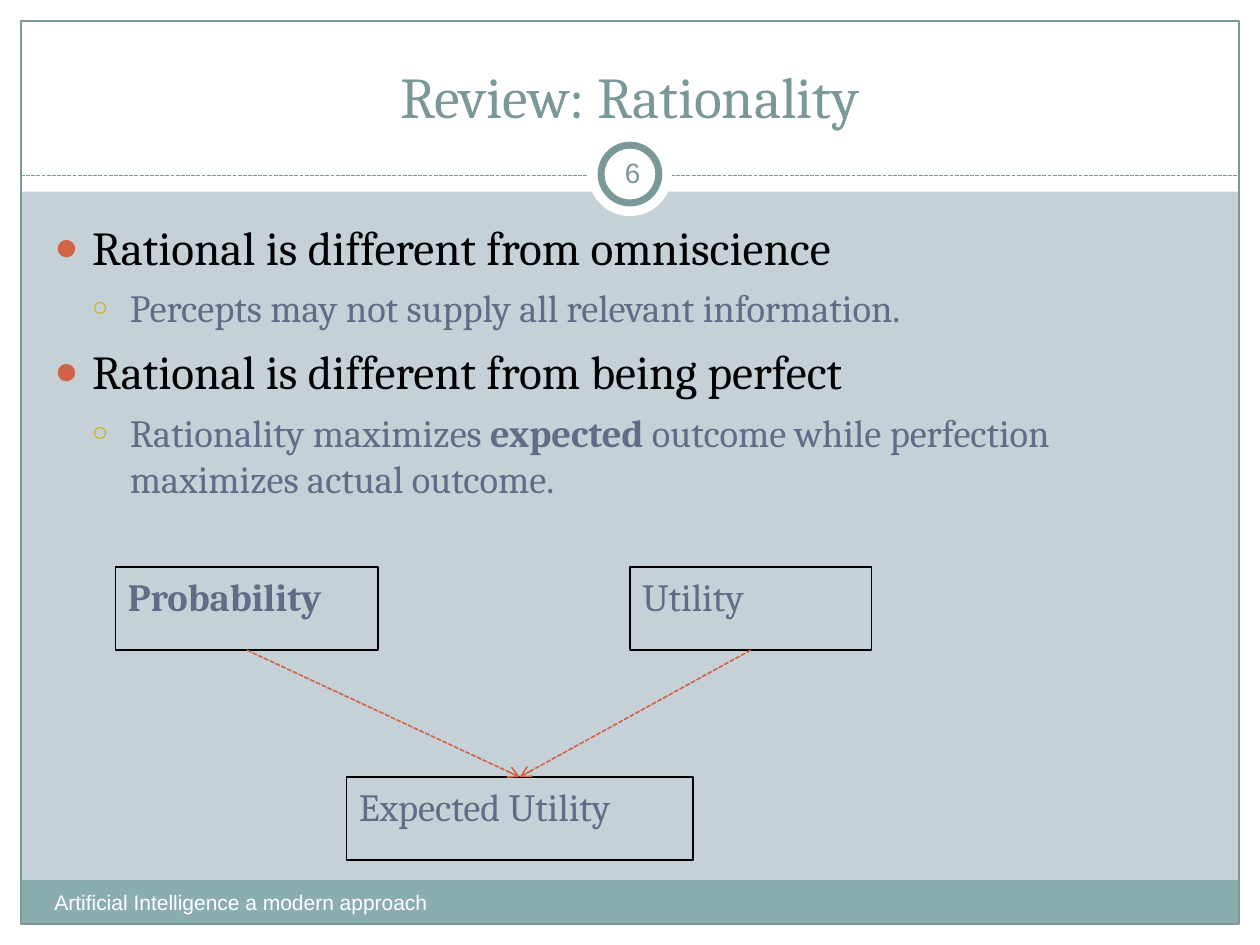
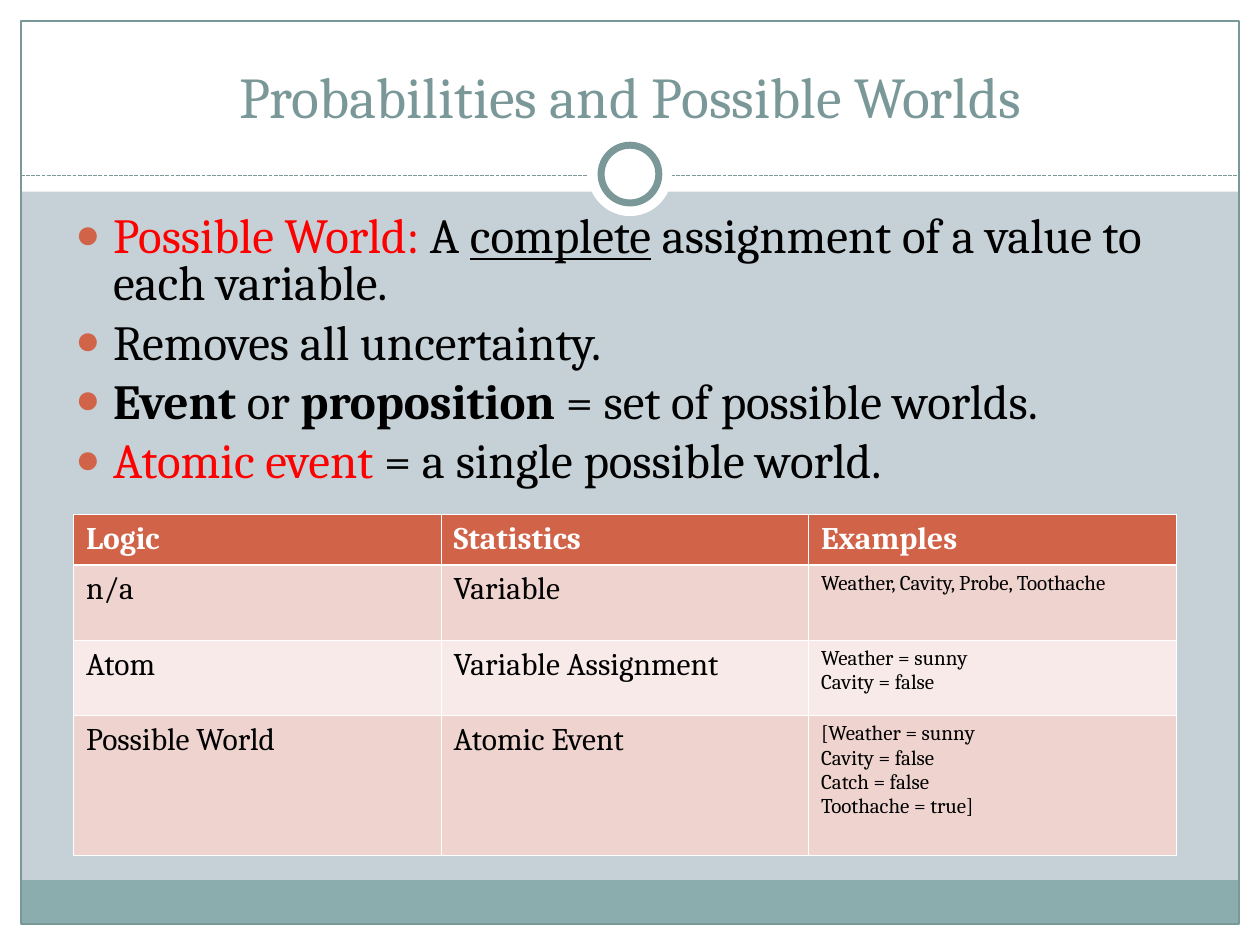
from dataclasses import dataclass

from lxml import etree
from pptx import Presentation
from pptx.dml.color import RGBColor
from pptx.enum.dml import MSO_LINE
from pptx.enum.shapes import MSO_CONNECTOR, MSO_SHAPE
from pptx.enum.text import MSO_ANCHOR, PP_ALIGN
from pptx.oxml.ns import qn
from pptx.util import Pt

RECT, OVAL = MSO_SHAPE.RECTANGLE, MSO_SHAPE.OVAL
STRAIGHT = MSO_CONNECTOR.STRAIGHT
DASH = MSO_LINE.SQUARE_DOT
LEFT, CENTER = PP_ALIGN.LEFT, PP_ALIGN.CENTER
TOP, MIDDLE, BOTTOM = MSO_ANCHOR.TOP, MSO_ANCHOR.MIDDLE, MSO_ANCHOR.BOTTOM
SIDE_TOP, SIDE_BOTTOM = 0, 2
BOLD = {"bold": True}


@dataclass(frozen=True)
class Theme:
    serif: str = "Cambria"
    sans: str = "Arial"
    background: str = "C5D1D7"
    white: str = "FFFFFF"
    black: str = "000000"
    teal: str = "7B9899"
    band: str = "8CADAE"
    orange: str = "D16349"
    gold: str = "CCB400"
    slate: str = "646B86"
    red: str = "FF0000"
    rows: tuple = ("EED3CF", "F7EAE9")
    title: float = 33
    point: float = 27
    large_point: float = 28
    detail: float = 22
    cell: float = 18
    number: float = 16
    small: float = 12


T = Theme()
HIGHLIGHT = {"color": T.red}


def rgb(value):
    return RGBColor.from_string(value)


def write(tf, runs, size=T.detail, color=T.black, font=T.serif, bold=False,
          align=LEFT, before=0, spacing=None, bullet=None):
    first = not tf.paragraphs[0].runs
    p = tf.paragraphs[0] if first else tf.add_paragraph()
    p.alignment = align
    if not first:
        p.space_before = Pt(before)
    if spacing:
        p.line_spacing = spacing
    if bullet:
        add_bullet(p, **bullet)
    for run in [runs] if isinstance(runs, str) else runs:
        text, extra = (run, {}) if isinstance(run, str) else run
        r = p.add_run()
        r.text = text
        r.font.name = font
        r.font.size = Pt(size)
        r.font.bold = extra.get("bold", bold)
        r.font.underline = extra.get("underline", False)
        r.font.color.rgb = rgb(extra.get("color", color))


def add_bullet(p, char, color, percent, level):
    pPr = p._p.get_or_add_pPr()
    p.level = level
    pPr.set("marL", str(Pt(21.6 * (level + 1))))
    pPr.set("indent", str(Pt(-21.6)))
    clr = etree.SubElement(pPr, qn("a:buClr"))
    etree.SubElement(clr, qn("a:srgbClr"), val=color)
    etree.SubElement(pPr, qn("a:buSzPct"), val=str(percent * 1000))
    etree.SubElement(pPr, qn("a:buFont"), typeface=T.sans)
    etree.SubElement(pPr, qn("a:buChar"), char=char)


def add_point(tf, runs, size=T.point, spacing=None):
    dot = {"char": "●", "color": T.orange, "percent": 85, "level": 0}
    write(tf, runs, size=size, before=size / 4, spacing=spacing, bullet=dot)


def add_detail(tf, runs):
    ring = {"char": "○", "color": T.gold, "percent": 70, "level": 1}
    write(tf, runs, color=T.slate, before=T.detail / 4, bullet=ring)


def text_area(s, left, top, width, height, anchor=TOP):
    tf = s.shapes.add_textbox(Pt(left), Pt(top), Pt(width), Pt(height)).text_frame
    tf.word_wrap = True
    tf.vertical_anchor = anchor
    return tf


def add_shape(s, kind, left, top, width, height, fill=None, line=None, weight=0.75):
    sp = s.shapes.add_shape(kind, Pt(left), Pt(top), Pt(width), Pt(height))
    sp.shadow.inherit = False
    if fill:
        sp.fill.solid()
        sp.fill.fore_color.rgb = rgb(fill)
    else:
        sp.fill.background()
    if line:
        sp.line.color.rgb = rgb(line)
        sp.line.width = Pt(weight)
    else:
        sp.line.fill.background()
    return sp


def add_dashed_line(s, x1, y1, x2, y2, color, weight):
    c = s.shapes.add_connector(STRAIGHT, Pt(x1), Pt(y1), Pt(x2), Pt(y2))
    c.line.color.rgb = rgb(color)
    c.line.width = Pt(weight)
    c.line.dash_style = DASH
    etree.SubElement(c.element.spPr, qn("a:effectLst"))
    return c


def add_arrow(s, source, target):
    c = add_dashed_line(s, 0, 0, 0, 0, T.orange, 0.91)
    c.begin_connect(source, SIDE_BOTTOM)
    c.end_connect(target, SIDE_TOP)
    ln = c.element.spPr.find(qn("a:ln"))
    etree.SubElement(ln, qn("a:tailEnd"), type="arrow")


def add_concept(s, text, left, top, width, bold=False):
    sp = add_shape(s, RECT, left, top, width, 47.5, line=T.black)
    tf = sp.text_frame
    tf.word_wrap = True
    tf.vertical_anchor = TOP
    write(tf, text, color=T.slate, bold=bold)
    return sp


def set_borders(cell, **weights):
    tcPr = cell._tc.get_or_add_tcPr()
    for side in "LRTB":
        width = Pt(weights.get(side, 0.45))
        ln = etree.SubElement(tcPr, qn("a:ln" + side), w=str(width))
        fill = etree.SubElement(ln, qn("a:solidFill"))
        etree.SubElement(fill, qn("a:srgbClr"), val=T.white)


def add_grid(s, left, top, column_width, heights, rows):
    columns = len(rows[0])
    table = s.shapes.add_table(len(rows), columns, Pt(left), Pt(top),
                               Pt(column_width * columns), Pt(sum(heights))).table
    for column in table.columns:
        column.width = Pt(column_width)
    for i, (height, row) in enumerate(zip(heights, rows)):
        table.rows[i].height = Pt(height)
        header = i == 0
        rule = {0: {"B": 1.47}, 1: {"T": 1.47}}.get(i, {})
        for j, text in enumerate(row):
            cell = table.cell(i, j)
            set_borders(cell, **rule)
            cell.fill.solid()
            cell.fill.fore_color.rgb = rgb(T.orange if header else T.rows[(i - 1) % 2])
            example = not header and j == columns - 1
            for line in text.split("\n"):
                write(cell.text_frame, line, bold=header,
                      size=T.small if example else T.cell,
                      color=T.white if header else T.black)


def add_framed_slide(prs, title, footer=None, number=None):
    s = prs.slides.add_slide(prs.slide_layouts[6])
    s.background.fill.solid()
    s.background.fill.fore_color.rgb = rgb(T.background)
    for box in ((0, 528, 720, 12), (0, 0, 720, 109.5),
                (0, 0, 12, 540), (708, 0, 12, 540)):
        add_shape(s, RECT, *box, fill=T.white)
    add_shape(s, RECT, 12, 503, 696, 25, fill=T.band)
    add_shape(s, RECT, 12, 12, 696, 516, line=T.teal)
    add_dashed_line(s, 12, 100.5, 708, 100.5, T.teal, 0.75)
    add_shape(s, OVAL, 336, 75.5, 48, 48, fill=T.white)
    add_shape(s, OVAL, 343.5, 83, 33, 33, fill=T.white, line=T.teal, weight=4)
    write(text_area(s, 24, 18, 672, 60, BOTTOM), title,
          size=T.title, color=T.teal, align=CENTER)
    if footer:
        write(text_area(s, 24, 504.5, 282, 29), footer,
              size=T.small, color=T.white, font=T.sans)
    if number:
        write(text_area(s, 343.5, 81, 36, 34.5, MIDDLE), number,
              size=T.number, color=T.teal, font=T.sans, align=CENTER)
    return s


def build_rationality(prs):
    s = add_framed_slide(prs, "Review: Rationality",
                         "Artificial Intelligence a modern approach", "6")
    tf = text_area(s, 24, 121, 670, 180)
    add_point(tf, "Rational is different from omniscience")
    add_detail(tf, "Percepts may not supply all relevant information.")
    add_point(tf, "Rational is different from being perfect")
    add_detail(tf, ["Rationality maximizes ", ("expected", BOLD),
                    " outcome while perfection maximizes actual outcome."])
    probability = add_concept(s, "Probability", 66, 324, 150, bold=True)
    utility = add_concept(s, "Utility", 360, 324, 138)
    expected = add_concept(s, "Expected Utility", 198, 444, 198)
    for source in (probability, utility):
        add_arrow(s, source, expected)


def build_possible_worlds(prs):
    s = add_framed_slide(prs, "Probabilities and Possible Worlds")
    tf = text_area(s, 36, 120, 648, 234)
    points = (
        [("Possible World: ", HIGHLIGHT), "A ", ("complete", {"underline": True}),
         " assignment of a value to each variable."],
        "Removes all uncertainty.",
        [("Event ", BOLD), "or", (" proposition ", BOLD),
         "= set of possible worlds."],
        [("Atomic event", HIGHLIGHT), " = a single possible world."],
    )
    for runs in points:
        add_point(tf, runs, size=T.large_point, spacing=0.8)
    add_grid(s, 42, 294, 210, (29, 43, 43, 80), (
        ("Logic", "Statistics", "Examples"),
        ("n/a", "Variable", "Weather, Cavity, Probe, Toothache"),
        ("Atom", "Variable Assignment", "Weather = sunny\nCavity = false"),
        ("Possible World", "Atomic Event",
         "[Weather = sunny\nCavity = false\nCatch = false\nToothache = true]"),
    ))


def main():
    prs = Presentation()
    prs.slide_width, prs.slide_height = Pt(720), Pt(540)
    build_rationality(prs)
    build_possible_worlds(prs)
    prs.save("out.pptx")


if __name__ == "__main__":
    main()
